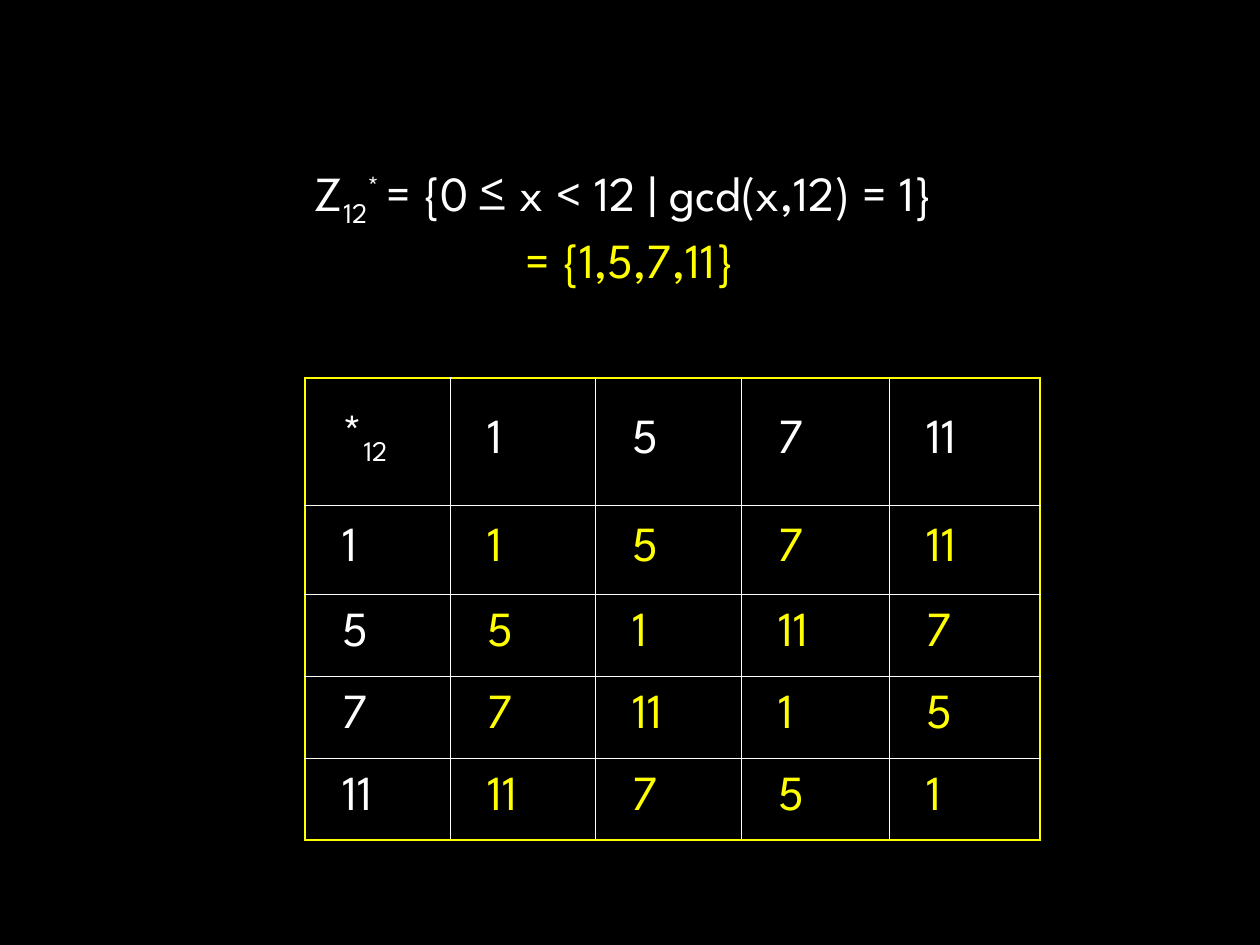
from lxml.etree import SubElement
from pptx import Presentation
from pptx.dml.color import RGBColor
from pptx.enum.text import MSO_ANCHOR, MSO_AUTO_SIZE, PP_ALIGN
from pptx.oxml.ns import qn
from pptx.util import Emu, Pt

BLACK = RGBColor(0x00, 0x00, 0x00)
WHITE = RGBColor(0xFF, 0xFF, 0xFF)
YELLOW = RGBColor(0xFF, 0xFF, 0x00)
FONT = "League Spartan"
MODULUS = 12
UNITS = [1, 5, 7, 11]
COLUMN_WIDTHS = [145, 145, 146, 148, 151]
ROW_HEIGHTS = [127, 89, 82, 82, 82]


def px(length):
    return Emu(round(length * 914400 / 126))


def style_paragraph(para, color):
    para.font.name = FONT
    para.font.size = Pt(28)
    para.font.color.rgb = color


def add_span(para, text, baseline=0, color=None):
    span = para.add_run()
    span.text = text
    if baseline:
        span.font._element.set("baseline", str(baseline * 1000))
    if color is not None:
        span.font.color.rgb = color


def place_definition(page, left, top, width, height):
    title = page.shapes.title
    title.left, title.top = px(left), px(top)
    title.width, title.height = px(width), px(height)
    frame = title.text_frame
    frame.word_wrap = True
    frame.auto_size = MSO_AUTO_SIZE.SHAPE_TO_FIT_TEXT
    frame.vertical_anchor = MSO_ANCHOR.TOP
    para = frame.paragraphs[0]
    para.alignment = PP_ALIGN.CENTER
    style_paragraph(para, WHITE)
    add_span(para, "Z")
    add_span(para, str(MODULUS), -25)
    add_span(para, "* ", 30)
    add_span(para, f"= {{0 ≤ x < {MODULUS} | gcd(x,{MODULUS}) = 1}} ")
    para.add_line_break()
    add_span(para, f"= {{{','.join(map(str, UNITS))}}}", color=YELLOW)


def set_border(cell, side, outer):
    color, width = (YELLOW, Pt(1.08)) if outer else (WHITE, Pt(0.45))
    properties = cell._tc.get_or_add_tcPr()
    line = SubElement(properties, qn(f"a:ln{side}"), w=str(width))
    fill = SubElement(line, qn("a:solidFill"))
    SubElement(fill, qn("a:srgbClr"), val=str(color))


def format_cell(cell, row, column):
    last = len(UNITS)
    edges = {"L": column == 0, "R": column == last, "T": row == 0, "B": row == last}
    for side, outer in edges.items():
        set_border(cell, side, outer)
    cell.fill.background()
    cell.vertical_anchor = MSO_ANCHOR.MIDDLE
    cell.margin_left = cell.margin_right = px(38)
    cell.margin_top = cell.margin_bottom = px(6)
    para = cell.text_frame.paragraphs[0]
    para.space_before = Pt(7)
    style_paragraph(para, YELLOW if row and column else WHITE)
    return para


def place_product_table(page, left, top):
    size = len(UNITS) + 1
    frame = page.shapes.add_table(
        size, size, px(left), px(top), px(sum(COLUMN_WIDTHS)), px(sum(ROW_HEIGHTS))
    )
    table = frame.table
    table.first_row = table.horz_banding = False
    for column, width in zip(table.columns, COLUMN_WIDTHS):
        column.width = px(width)
    for row, height in zip(table.rows, ROW_HEIGHTS):
        row.height = px(height)
    factors = [1] + UNITS
    for row, first in enumerate(factors):
        for column, second in enumerate(factors):
            para = format_cell(table.cell(row, column), row, column)
            if row == column == 0:
                add_span(para, "*")
                add_span(para, str(MODULUS), -25)
            else:
                add_span(para, str(first * second % MODULUS))


def main():
    deck = Presentation()
    deck.slide_width, deck.slide_height = px(1260), px(945)
    page = deck.slides.add_slide(deck.slide_layouts[5])
    page.background.fill.solid()
    page.background.fill.fore_color.rgb = BLACK
    place_definition(page, 172, 156, 916, 139)
    place_product_table(page, 305, 378)
    deck.save("out.pptx")


if __name__ == "__main__":
    main()
